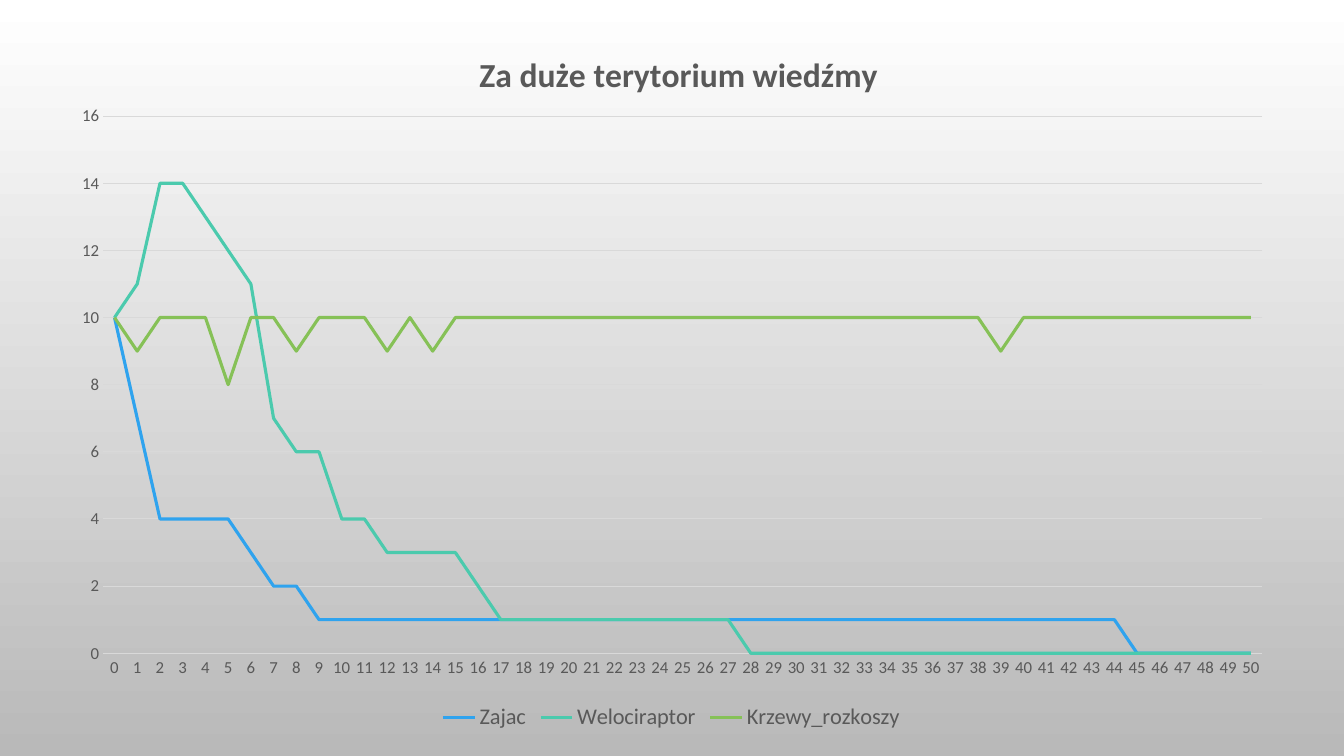
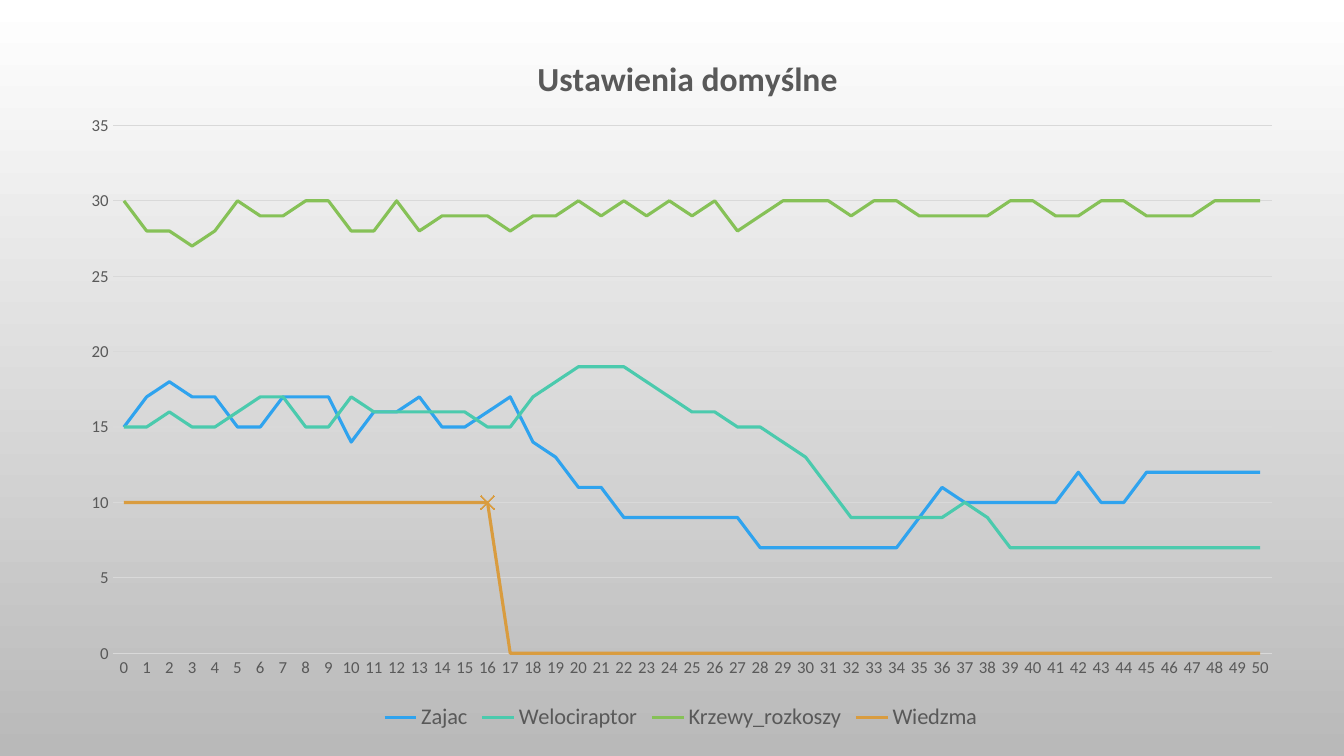
from dataclasses import dataclass

from lxml.etree import SubElement
from pptx import Presentation
from pptx.chart.data import CategoryChartData
from pptx.dml.color import RGBColor as RGB
from pptx.enum.chart import (
    XL_CHART_TYPE as Chart,
    XL_LEGEND_POSITION as Legend,
    XL_MARKER_STYLE as Marker,
    XL_TICK_MARK as Tick,
)
from pptx.oxml.ns import qn
from pptx.util import Inches, Pt


@dataclass(frozen=True)
class Theme:
    font: str = "Calibri"
    text: str = "595959"
    rule: str = "D9D9D9"
    background: tuple = ("FFFFFF", "B9B9B9")
    series: tuple = ("2FA3EE", "4BCAAD", "86C157", "D99C3F")
    title_size: int = 24
    legend_size: int = 16
    axis_size: int = 12
    rule_width: float = 0.75
    series_width: float = 2.25
    marker_size: int = 10


class Deck:
    """The presentation, its theme and the slide being filled."""

    def __init__(self, theme, width=13.33, height=7.5):
        self.theme = theme
        self.prs = Presentation()
        self.prs.slide_width = Inches(width)
        self.prs.slide_height = Inches(height)
        self.s = None

    def add_slide(self):
        self.s = self.prs.slides.add_slide(self.prs.slide_layouts[6])
        fill = self.s.background.fill
        fill.gradient()
        fill.gradient_angle = 270
        for stop, color in zip(fill.gradient_stops, self.theme.background):
            stop.color.rgb = RGB.from_string(color)

    def style_font(self, font, size, bold=False):
        font.name, font.size, font.bold = self.theme.font, Pt(size), bold
        font.color.rgb = RGB.from_string(self.theme.text)

    def style_line(self, line, color, width):
        line.color.rgb = RGB.from_string(color)
        line.width = Pt(width)

    @staticmethod
    def place(element, **percents):
        """Fix a chart part's layout, in percent of the chart's size."""
        layout = element.find(qn("c:layout"))
        if layout is None:
            layout = SubElement(element, qn("c:layout"))
            before = element.find(qn("c:tx"))
            if before is None:
                element.insert(0, layout)
            else:
                before.addnext(layout)
        manual = SubElement(layout, qn("c:manualLayout"))
        if "w" in percents:
            SubElement(manual, qn("c:layoutTarget")).set("val", "inner")
        for key in ("x", "y"):
            SubElement(manual, qn(f"c:{key}Mode")).set("val", "edge")
        for key, percent in percents.items():
            SubElement(manual, qn(f"c:{key}")).set("val", str(percent / 100))

    def add_title(self, chart, title, left, top):
        tf = chart.chart_title.text_frame
        r = tf.paragraphs[0].add_run()
        r.text = title
        self.style_font(r.font, self.theme.title_size, bold=True)
        chart.chart_title.include_in_layout = False
        self.place(chart._chartSpace.chart.find(qn("c:title")), x=left, y=top)

    def style_axes(self, chart, maximum, step):
        t = self.theme
        cats, vals = chart.category_axis, chart.value_axis
        for axis in (cats, vals):
            axis.major_tick_mark = axis.minor_tick_mark = Tick.NONE
            self.style_font(axis.tick_labels.font, t.axis_size)
        self.style_line(cats.format.line, t.rule, t.rule_width)
        vals.format.line.fill.background()
        vals.has_major_gridlines = True
        self.style_line(vals.major_gridlines.format.line, t.rule, t.rule_width)
        vals.minimum_scale, vals.maximum_scale = 0, maximum
        vals.major_unit = step

    def add_legend(self, chart):
        chart.has_legend = True
        chart.legend.position = Legend.BOTTOM
        chart.legend.include_in_layout = False
        self.style_font(chart.legend.font, self.theme.legend_size)

    def mark_point(self, series, index, color):
        t = self.theme
        point = series.points[index]
        self.style_line(point.format.line, color, t.series_width)
        point.marker.style = Marker.X
        point.marker.size = t.marker_size
        point.marker.format.fill.background()
        self.style_line(point.marker.format.line, color, t.rule_width)

    def add_line_chart(self, title, title_at, left, plot_top, maximum, step,
                       populations, marks=()):
        """Chart populations by turn; left is a share of the slide's width,
        title_at and plot_top are percents of the chart."""
        t, w, h = self.theme, self.prs.slide_width, self.prs.slide_height
        data = CategoryChartData()
        data.categories = [str(turn) for turn in range(51)]
        for name, values in populations.items():
            data.add_series(name, values)
        frame = self.s.shapes.add_chart(
            Chart.LINE, int(left * w), int(0.028 * h),
            int(0.915 * w), int(0.945 * h), data)
        chart = frame.chart
        chart.font.name, chart.font.size = t.font, Pt(t.axis_size)
        self.add_title(chart, title, *title_at)
        self.style_axes(chart, maximum, step)
        self.add_legend(chart)
        plot = chart.plots[0]
        plot.vary_by_categories = False
        for series, color in zip(plot.series, t.series):
            series.smooth = False
            self.style_line(series.format.line, color, t.series_width)
            if series.name in marks:
                self.mark_point(series, marks[series.name], color)
        self.place(chart._chartSpace.chart.plotArea,
                   x=3.8, y=plot_top, w=94.25, h=88.5 - plot_top)


LARGE_TERRITORY = {
    "Zajac": [10, 7] + [4] * 4 + [3, 2, 2] + [1] * 36 + [0] * 6,
    "Welociraptor": [10, 11, 14, 14, 13, 12, 11, 7, 6, 6, 4, 4]
    + [3] * 4 + [2] + [1] * 11 + [0] * 23,
    "Krzewy_rozkoszy": [10, 9, 10, 10, 10, 8, 10, 10, 9, 10, 10, 10, 9, 10, 9]
    + [10] * 24 + [9] + [10] * 11,
}

DEFAULT_SETTINGS = {
    "Zajac": [15, 17, 18, 17, 17, 15, 15, 17, 17, 17, 14, 16, 16, 17, 15, 15,
              16, 17, 14, 13, 11, 11] + [9] * 6 + [7] * 7
    + [9, 11] + [10] * 5 + [12, 10, 10] + [12] * 6,
    "Welociraptor": [15, 15, 16, 15, 15, 16, 17, 17, 15, 15, 17]
    + [16] * 5 + [15, 15, 17, 18, 19, 19, 19, 18, 17, 16, 16, 15, 15,
                  14, 13, 11] + [9] * 5 + [10, 9] + [7] * 12,
    "Krzewy_rozkoszy": [30, 28, 28, 27, 28, 30, 29, 29, 30, 30, 28, 28, 30,
                        28, 29, 29, 29, 28, 29, 29, 30, 29, 30, 29, 30, 29,
                        30, 28, 29, 30, 30, 30, 29, 30, 30, 29, 29, 29, 29,
                        30, 30, 29, 29, 30, 30, 29, 29, 29, 30, 30, 30],
    "Wiedzma": [10] * 17 + [0] * 34,
}


def main():
    deck = Deck(Theme())
    deck.add_slide()
    deck.add_line_chart("Za duże terytorium wiedźmy", (33.9, 3.4), 0.042, 13.3,
                        16, 2, LARGE_TERRITORY)
    deck.add_slide()
    deck.add_line_chart("Ustawienia domyślne", (37.85, 4.1), 0.049, 14.6,
                        35, 5, DEFAULT_SETTINGS, marks={"Wiedzma": 16})
    deck.prs.save("out.pptx")


if __name__ == "__main__":
    main()
